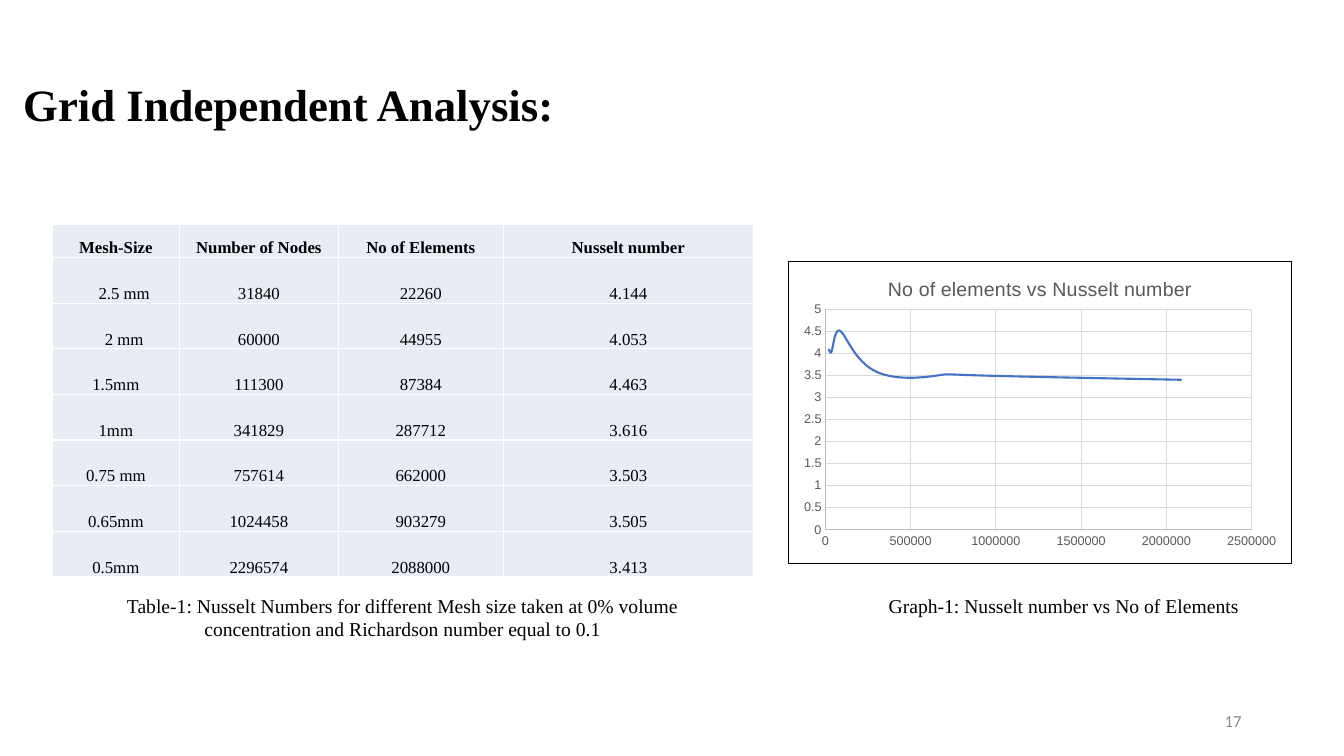
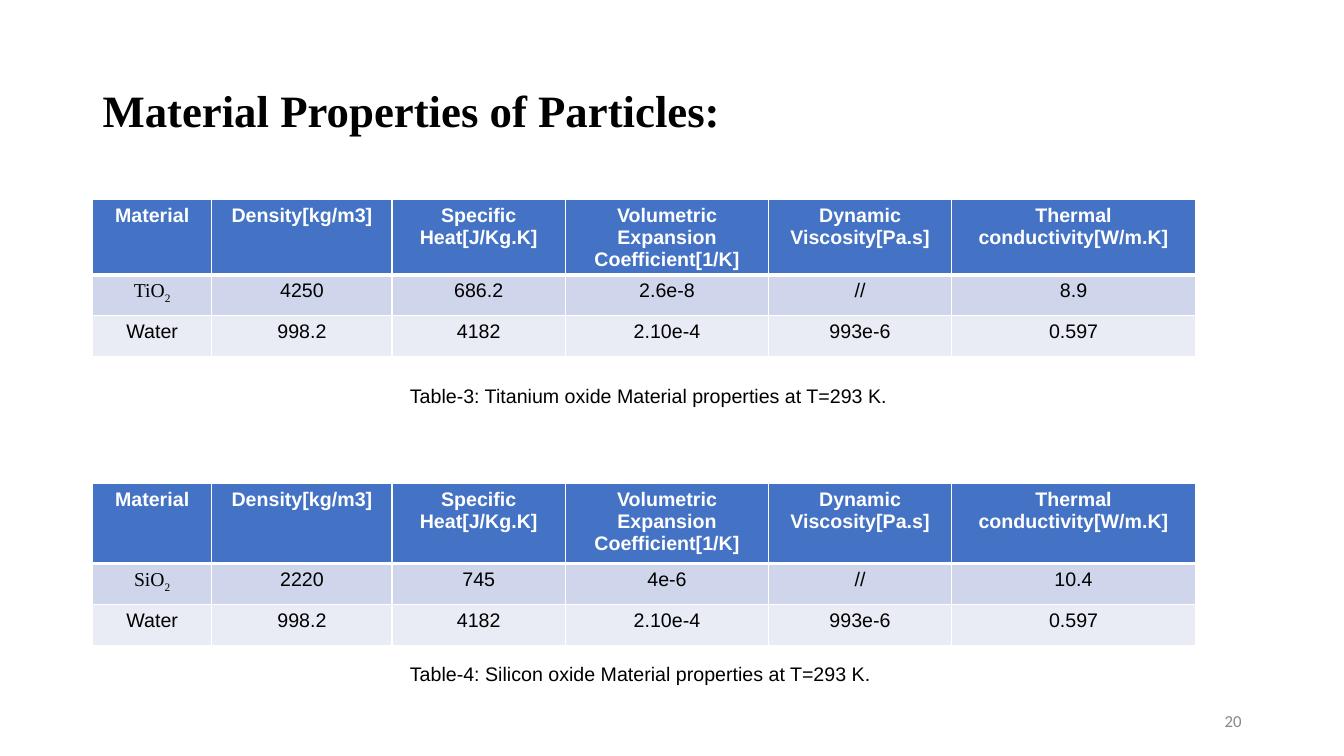
from dataclasses import dataclass

from lxml.etree import SubElement
from pptx import Presentation
from pptx.chart.data import XyChartData
from pptx.dml.color import RGBColor
from pptx.enum.chart import XL_CHART_TYPE, XL_MARKER_STYLE, XL_TICK_MARK
from pptx.enum.text import MSO_ANCHOR, MSO_AUTO_SIZE, PP_ALIGN
from pptx.oxml import parse_xml
from pptx.oxml.ns import nsdecls, qn
from pptx.slide import Slide
from pptx.util import Cm, Pt


@dataclass(frozen=True)
class Theme:
    serif: str = "Times New Roman"
    sans: str = "Arial"
    number_font: str = "Calibri"
    black: str = "000000"
    white: str = "FFFFFF"
    grey: str = "888888"
    chart_text: str = "595959"
    axis: str = "BFBFBF"
    grid: str = "D9D9D9"
    blue: str = "4472C4"
    band_dark: str = "CFD5EA"
    band_light: str = "E9EBF5"
    title_pt: int = 32
    body_pt: int = 14
    small_pt: int = 12
    chart_pt: int = 10
    axis_pt: int = 9


THEME = Theme()


@dataclass(frozen=True)
class Box:
    left: float
    top: float
    width: float
    height: float

    def lengths(self) -> tuple:
        return Cm(self.left), Cm(self.top), Cm(self.width), Cm(self.height)


@dataclass(frozen=True)
class Entry:
    """Cell text, with an optional subscript or left indent in cm."""
    text: str
    subscript: str = ""
    indent: float = 0


@dataclass(frozen=True)
class TableStyle:
    font: str
    size: int
    header_color: str
    header_fill: str
    bands: tuple[str, ...]
    header_rule: int
    anchor: MSO_ANCHOR
    margins: tuple[float, ...]


@dataclass(frozen=True)
class Material:
    formula: Entry
    values: tuple[str, ...]
    caption: str
    table_top: float
    header_height: float
    caption_top: float


MESH_STYLE = TableStyle(THEME.serif, THEME.small_pt, THEME.black, THEME.band_light,
                        (THEME.band_light,), 1, MSO_ANCHOR.BOTTOM, (0.03, 0.03, 0.03, 0))
MATERIAL_STYLE = TableStyle(THEME.sans, THEME.body_pt, THEME.white, THEME.blue,
                            (THEME.band_dark, THEME.band_light), 3, MSO_ANCHOR.TOP,
                            (0.25, 0.13, 0.25, 0))

MESH_HEADER = ("Mesh-Size", "Number of Nodes", "No of Elements", "Nusselt number")
MESH_ROWS = (
    (Entry("2.5 mm", indent=0.42), "31840", "22260", "4.144"),
    (Entry("2 mm", indent=0.42), "60000", "44955", "4.053"),
    ("1.5mm", "111300", "87384", "4.463"),
    ("1mm", "341829", "287712", "3.616"),
    ("0.75 mm", "757614", "662000", "3.503"),
    ("0.65mm", "1024458", "903279", "3.505"),
    ("0.5mm", "2296574", "2088000", "3.413"),
)
MATERIAL_HEADER = ("Material", "Density[kg/m3]", "Specific Heat[J/Kg.K]",
                   "Volumetric Expansion Coefficient[1/K]", "Dynamic Viscosity[Pa.s]",
                   "Thermal conductivity[W/m.K]")
WATER = ("Water", "998.2", "4182", "2.10e-4", "993e-6", "0.597")
MATERIALS = (
    Material(Entry("TiO", "2"), ("4250", "686.2", "2.6e-8", "//", "8.9"),
             "Table-3: Titanium oxide Material properties at T=293 K.", 5.02, 1.87, 9.55),
    Material(Entry("SiO", "2"), ("2220", "745", "4e-6", "//", "10.4"),
             "Table-4: Silicon oxide Material properties at T=293 K.", 12.18, 2.02, 16.55),
)


def style_font(font, name: str, size: int, color: str, bold: bool = False) -> None:
    font.name = name
    font.size = Pt(size)
    font.bold = bold
    font.color.rgb = RGBColor.from_string(color)


def add_run(p, text: str, name: str, size: int, color: str, bold: bool = False):
    r = p.add_run()
    r.text = text
    style_font(r.font, name, size, color, bold)
    return r


def add_text(slide: Slide, box: Box, text: str, font: str, size: int = THEME.body_pt,
             color: str = THEME.black, align: PP_ALIGN = PP_ALIGN.LEFT):
    tf = slide.shapes.add_textbox(*box.lengths()).text_frame
    tf.word_wrap = True
    p = tf.paragraphs[0]
    p.alignment = align
    add_run(p, text, font, size, color)
    return tf


def add_caption(slide: Slide, box: Box, text: str, font: str, align: PP_ALIGN) -> None:
    tf = add_text(slide, box, text, font, align=align)
    tf.auto_size = MSO_AUTO_SIZE.SHAPE_TO_FIT_TEXT


def add_titled_slide(prs, title: str, left: float, top: float, number: int) -> Slide:
    slide = prs.slides.add_slide(prs.slide_layouts[5])
    sp = slide.shapes.title
    sp.left, sp.top, sp.width, sp.height = Box(left, top, 29.21, 3.68).lengths()
    tf = sp.text_frame
    tf.auto_size = MSO_AUTO_SIZE.NONE
    tf.word_wrap = True
    tf.vertical_anchor = MSO_ANCHOR.MIDDLE
    p = tf.paragraphs[0]
    p.alignment = PP_ALIGN.LEFT
    p.line_spacing = 0.9
    add_run(p, title, THEME.serif, THEME.title_pt, THEME.black, bold=True)
    number_tf = add_text(slide, Box(23.92, 17.66, 7.62, 1.01), str(number),
                         THEME.number_font, THEME.small_pt, THEME.grey, PP_ALIGN.RIGHT)
    number_tf.vertical_anchor = MSO_ANCHOR.MIDDLE
    return slide


def set_borders(cell, top: int, bottom: int) -> None:
    tc_pr = cell._tc.get_or_add_tcPr()
    for side, points in (("L", 1), ("R", 1), ("T", top), ("B", bottom)):
        ln = SubElement(tc_pr, qn(f"a:ln{side}"), w=str(Pt(points)))
        SubElement(SubElement(ln, qn("a:solidFill")), qn("a:srgbClr"), val=THEME.white)


def fill_cell(cell, content: str | Entry, row: int, style: TableStyle) -> None:
    entry = content if isinstance(content, Entry) else Entry(content)
    header = row == 0
    set_borders(cell, top=style.header_rule if row == 1 else 1,
                bottom=style.header_rule if header else 1)
    cell.fill.solid()
    fill = style.header_fill if header else style.bands[(row - 1) % len(style.bands)]
    cell.fill.fore_color.rgb = RGBColor.from_string(fill)
    cell.vertical_anchor = style.anchor
    left, top, right, bottom = style.margins
    cell.margin_left, cell.margin_right = Cm(left + entry.indent), Cm(right)
    cell.margin_top, cell.margin_bottom = Cm(top), Cm(bottom)
    p = cell.text_frame.paragraphs[0]
    p.alignment = PP_ALIGN.CENTER
    font = THEME.serif if entry.subscript else style.font
    color = style.header_color if header else THEME.black
    add_run(p, entry.text, font, style.size, color, header)
    if entry.subscript:
        r = add_run(p, entry.subscript, font, style.size, color, header)
        r.font._element.set("baseline", "-25000")


def add_grid(slide: Slide, left: float, top: float, widths: tuple[float, ...],
             header_height: float, row_height: float, rows: tuple,
             style: TableStyle) -> None:
    heights = [header_height] + [row_height] * (len(rows) - 1)
    box = Box(left, top, sum(widths), sum(heights))
    table = slide.shapes.add_table(len(rows), len(widths), *box.lengths()).table
    table.horz_banding = False
    for column, width in zip(table.columns, widths):
        column.width = Cm(width)
    for i, (row, height) in enumerate(zip(rows, heights)):
        table.rows[i].height = Cm(height)
        for j, content in enumerate(row):
            fill_cell(table.cell(i, j), content, i, style)


def style_line(line, color: str, points: float) -> None:
    line.color.rgb = RGBColor.from_string(color)
    line.width = Pt(points)


def style_axis(axis, maximum: float, step: float) -> None:
    axis.minimum_scale, axis.maximum_scale, axis.major_unit = 0, maximum, step
    axis.major_tick_mark = axis.minor_tick_mark = XL_TICK_MARK.NONE
    axis.has_title = False
    axis.has_major_gridlines = True
    style_line(axis.major_gridlines.format.line, THEME.grid, 0.75)
    style_line(axis.format.line, THEME.axis, 0.75)
    style_font(axis.tick_labels.font, THEME.sans, THEME.axis_pt, THEME.chart_text)
    axis.tick_labels.number_format = "General"
    axis.tick_labels.number_format_is_linked = False


def frame_chart(chart) -> None:
    """Give the chart a thin outline and a fixed inner plot area."""
    space = chart._chartSpace
    space.find(qn("c:chart")).addnext(parse_xml(
        f'<c:spPr {nsdecls("c", "a")}><a:solidFill><a:srgbClr val="{THEME.white}"/>'
        f'</a:solidFill><a:ln w="{Pt(0.75)}"><a:solidFill><a:srgbClr val="{THEME.black}"/>'
        '</a:solidFill></a:ln></c:spPr>'))
    plot_area = next(space.iter(qn("c:plotArea")))
    for old in plot_area.findall(qn("c:layout")):
        plot_area.remove(old)
    layout = parse_xml(f'<c:layout {nsdecls("c")}><c:manualLayout/></c:layout>')
    settings = {"layoutTarget": "inner", "xMode": "edge", "yMode": "edge",
                "x": 0.074, "y": 0.158, "w": 0.846, "h": 0.731}
    for tag, value in settings.items():
        SubElement(layout[0], qn(f"c:{tag}"), val=str(value))
    plot_area.insert(0, layout)


def add_nusselt_chart(slide: Slide, box: Box) -> None:
    """Plot the mesh table, rounded to what can be read off the axes."""
    data = XyChartData()
    points = data.add_series("Nusselt number")
    for _, _, elements, nusselt in MESH_ROWS:
        points.add_data_point(round(int(elements), -4), round(float(nusselt), 1))
    chart = slide.shapes.add_chart(XL_CHART_TYPE.XY_SCATTER_SMOOTH_NO_MARKERS,
                                   *box.lengths(), data).chart
    style_font(chart.font, THEME.sans, THEME.chart_pt, THEME.black)
    chart.has_legend = False
    chart.has_title = True
    add_run(chart.chart_title.text_frame.paragraphs[0], "No of elements vs Nusselt number",
            THEME.sans, THEME.body_pt, THEME.chart_text)
    chart.chart_title.include_in_layout = False
    style_axis(chart.category_axis, 2500000, 500000)
    style_axis(chart.value_axis, 5, 0.5)
    plot = chart.plots[0]
    plot.vary_by_categories = False
    series = plot.series[0]
    series.marker.style = XL_MARKER_STYLE.NONE
    style_line(series.format.line, THEME.blue, 1.5)
    for smooth in chart._chartSpace.iter(qn("c:smooth")):
        smooth.set("val", "1")
    frame_chart(chart)


def build_grid_analysis(prs) -> None:
    slide = add_titled_slide(prs, "Grid Independent Analysis:", 0.33, 0.86, 17)
    add_grid(slide, 1.32, 5.66, (3.2, 4.01, 4.15, 6.31), 0.83, 1.15,
             (MESH_HEADER, *MESH_ROWS), MESH_STYLE)
    add_nusselt_chart(slide, Box(19.85, 6.58, 12.72, 7.63))
    add_caption(slide, Box(1.68, 14.83, 16.94, 1.45),
                "Table-1: Nusselt Numbers for different Mesh size taken at 0% volume "
                "concentration and Richardson number equal to 0.1",
                THEME.serif, PP_ALIGN.CENTER)
    add_caption(slide, Box(19.51, 14.83, 14.6, 0.86),
                "Graph-1: Nusselt number vs No of Elements", THEME.serif, PP_ALIGN.CENTER)


def build_material_properties(prs) -> None:
    slide = add_titled_slide(prs, "Material Properties of Particles:", 2.33, 1.01, 20)
    for material in MATERIALS:
        rows = (MATERIAL_HEADER, (material.formula, *material.values), WATER)
        add_grid(slide, 2.33, material.table_top, (3.01, 4.54, 4.37, 5.12, 4.61, 6.15),
                 material.header_height, 1.03, rows, MATERIAL_STYLE)
        add_caption(slide, Box(10.08, material.caption_top, 13.72, 0.86),
                    material.caption, THEME.sans, PP_ALIGN.LEFT)


def main() -> None:
    prs = Presentation()
    prs.slide_width, prs.slide_height = Cm(33.87), Cm(19.05)
    build_grid_analysis(prs)
    build_material_properties(prs)
    prs.save("out.pptx")


if __name__ == "__main__":
    main()
